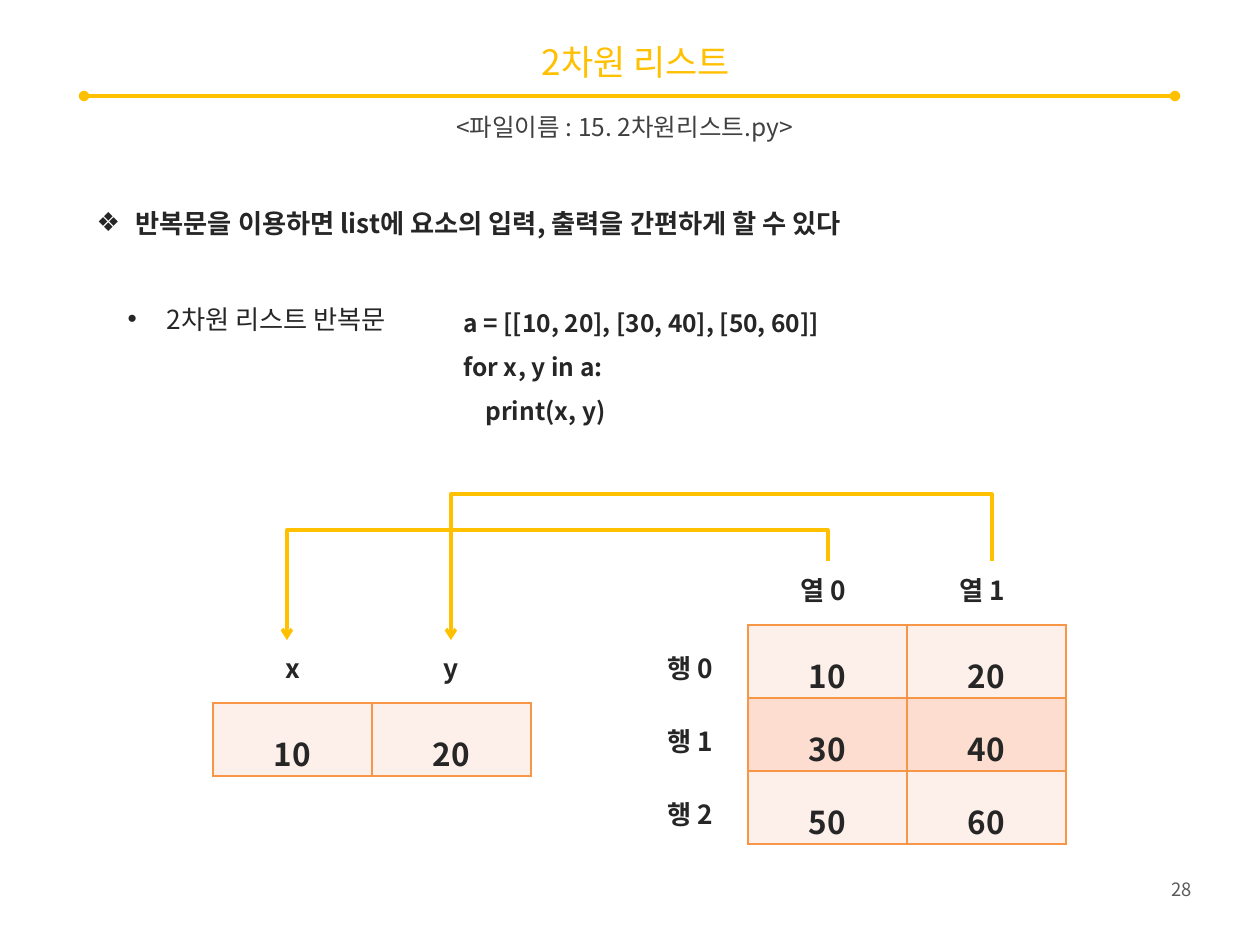
from dataclasses import dataclass

import lxml.etree
import pptx
import pptx.dml.color
import pptx.enum.shapes
import pptx.enum.text
import pptx.oxml.ns
import pptx.util

PIXELS_PER_INCH = 126
ALIGN = pptx.enum.text.PP_ALIGN
ANCHOR = pptx.enum.text.MSO_ANCHOR
CONNECTOR = pptx.enum.shapes.MSO_CONNECTOR


@dataclass(frozen=True)
class Theme:
    font: str = "Noto Sans CJK KR"
    accent: str = "FFC000"
    ink: str = "262626"
    subtitle_ink: str = "404040"
    number_ink: str = "595959"
    border: str = "F79646"
    light_row: str = "FDEFE9"
    dark_row: str = "FCDDCF"
    title_size: float = 20
    subtitle_size: float = 14
    text_size: float = 15
    code_size: float = 14
    cell_size: float = 18
    number_size: float = 10.5
    line_width: float = 2
    border_width: float = 1


THEME = Theme()


def px(length):
    return pptx.util.Emu(round(length * 914400 / PIXELS_PER_INCH))


def color(value):
    return pptx.dml.color.RGBColor.from_string(value)


def add_element(parent, tag, **attributes):
    return lxml.etree.SubElement(parent, pptx.oxml.ns.qn(tag), **attributes)


def format_text(text_frame, size, ink=THEME.ink, bold=False, align=ALIGN.LEFT, spacing=1.0):
    for paragraph in text_frame.paragraphs:
        paragraph.alignment = align
        paragraph.line_spacing = spacing
        paragraph.space_before = pptx.util.Pt(0)
        for run in paragraph.runs:
            run.font.name = THEME.font
            run.font.size = pptx.util.Pt(size)
            run.font.bold = bold
            run.font.color.rgb = color(ink)
            add_element(run.font._element, "a:ea", typeface=THEME.font)


def place(shape, box):
    shape.left, shape.top, shape.width, shape.height = map(px, box)


def add_text(slide, box, text, size, wrap=True, **style):
    shape = slide.shapes.add_textbox(*map(px, box))
    shape.text_frame.word_wrap = wrap
    shape.text_frame.text = text
    format_text(shape.text_frame, size, **style)
    return shape


def style_line(connector, head="none", tail="none"):
    connector.line.color.rgb = color(THEME.accent)
    connector.line.width = pptx.util.Pt(THEME.line_width)
    line = connector.line._get_or_add_ln()
    add_element(line, "a:headEnd", type=head)
    add_element(line, "a:tailEnd", type=tail)
    add_element(connector._element.spPr, "a:effectLst")


def add_header(slide, box, title, subtitle):
    left, top, width, height = box
    # Title
    place(slide.shapes.title, (left + 21, top, width - 19, 48))
    frame = slide.shapes.title.text_frame
    frame.text = title
    frame.auto_size = pptx.enum.text.MSO_AUTO_SIZE.NONE
    frame.vertical_anchor = ANCHOR.MIDDLE
    format_text(frame, THEME.title_size, THEME.accent, align=ALIGN.CENTER)
    # Rule with round ends
    rule_y = px(top + 58)
    rule = slide.shapes.add_connector(
        CONNECTOR.STRAIGHT, px(left), rule_y, px(left + width + 10), rule_y)
    style_line(rule, "oval", "oval")
    # File name
    add_text(slide, (left, top + 68, width, height - 68), subtitle,
             THEME.subtitle_size, ink=THEME.subtitle_ink, align=ALIGN.CENTER)


def add_bullet(placeholder, box, text, mark, bold=False):
    place(placeholder, box)
    frame = placeholder.text_frame
    frame.text = text
    frame.auto_size = pptx.enum.text.MSO_AUTO_SIZE.NONE
    properties = frame.paragraphs[0]._p.get_or_add_pPr()
    properties.set("marL", str(px(39)))
    properties.set("indent", str(-px(39)))
    add_element(properties, "a:buChar", char=mark)
    format_text(frame, THEME.text_size, bold=bold, spacing=1.5)


def add_code(slide, box, lines):
    shape = add_text(slide, box, "\n".join(lines), THEME.code_size, bold=True, spacing=1.5)
    # The last line is the loop body
    body = shape.text_frame.paragraphs[-1]._p.get_or_add_pPr()
    body.set("marL", str(px(22)))
    body.set("indent", "0")


def add_label(slide, left, top, text, align=ALIGN.LEFT):
    add_text(slide, (left, top, 79, 58), text, THEME.text_size,
             wrap=False, bold=True, align=align, spacing=1.5)


def style_cell(cell, value, fill):
    cell.text_frame.text = str(value)
    cell.vertical_anchor = ANCHOR.MIDDLE
    cell.margin_top, cell.margin_bottom = px(4), px(0)
    format_text(cell.text_frame, THEME.cell_size, bold=True, align=ALIGN.CENTER, spacing=1.5)
    properties = cell._tc.get_or_add_tcPr()
    for side in ("a:lnL", "a:lnR", "a:lnT", "a:lnB"):
        border = add_element(properties, side, w=str(pptx.util.Pt(THEME.border_width)))
        add_element(add_element(border, "a:solidFill"), "a:srgbClr", val=THEME.border)
    cell.fill.solid()
    cell.fill.fore_color.rgb = color(fill)


def add_grid(slide, box, values):
    frame = slide.shapes.add_table(len(values), len(values[0]), *map(px, box))
    table = frame.table
    table.first_row = table.horz_banding = False
    for row, row_values in enumerate(values):
        fill = THEME.dark_row if row % 2 else THEME.light_row
        for column, value in enumerate(row_values):
            style_cell(table.cell(row, column), value, fill)


def add_elbow_arrow(slide, start, end, rise):
    """Goes up from start by rise, across, then down to end."""
    span, drop = start[0] - end[0], end[1] - start[1]
    center_x, center_y = (start[0] + end[0]) / 2, (start[1] + end[1]) / 2
    # The frame lies on its side and is turned by 270 degrees
    arrow = slide.shapes.add_connector(
        CONNECTOR.ELBOW,
        px(center_x + drop / 2), px(center_y + span / 2),
        px(center_x - drop / 2), px(center_y - span / 2))
    properties = arrow._element.spPr
    properties.find(pptx.oxml.ns.qn("a:xfrm")).set("rot", str(270 * 60000))
    adjustments = properties.find(pptx.oxml.ns.qn("a:prstGeom")).get_or_add_avLst()
    add_element(adjustments, "a:gd", name="adj1", fmla=f"val {round(-100000 * rise / drop)}")
    style_line(arrow, tail="arrow")


def add_unpacking_diagram(slide, box):
    left, top, width, height = box
    cell_width, cell_height = 159, 73
    values = [[10, 20], [30, 40], [50, 60]]
    matrix_left, matrix_top = left + 535, top + 131
    pair_top = top + 209
    # Whole list and the row being read
    add_grid(slide, (matrix_left, matrix_top, 2 * cell_width, 3 * cell_height), values)
    add_grid(slide, (left, pair_top, 2 * cell_width, cell_height), values[:1])
    # Row labels
    for row in range(len(values)):
        add_label(slide, matrix_left - 93, matrix_top + 5 + row * cell_height, f"행 {row}")
    # Column labels, variable names and arrows
    for column, (name, rise) in enumerate((("x", 31), ("y", 67))):
        shift = column * cell_width
        add_label(slide, matrix_left + 40 + shift, matrix_top - 73, f"열 {column}")
        add_label(slide, left + 40 + shift, pair_top - 73, name, ALIGN.CENTER)
        arrow_shift = column * 164
        add_elbow_arrow(slide, (left + 615 + arrow_shift, top + 67),
                        (left + 74 + arrow_shift, top + 146), rise)


def main():
    presentation = pptx.Presentation()
    presentation.slide_width, presentation.slide_height = px(1260), px(945)
    slide = presentation.slides.add_slide(presentation.slide_layouts[3])
    add_header(slide, (84, 38, 1081, 111), "2차원 리스트", "<파일이름 : 15. 2차원리스트.py>")
    # Bullets
    add_bullet(slide.placeholders[1], (84, 185, 1081, 60),
               "반복문을 이용하면 list에 요소의 입력, 출력을 간편하게 할 수 있다", "❖", bold=True)
    add_bullet(slide.placeholders[2], (115, 281, 374, 55), "2차원 리스트 반복문", "•")
    add_code(slide, (451, 287, 407, 146),
             ["a = [[10, 20], [30, 40], [50, 60]]", "for x, y in a:", "print(x, y)"])
    add_unpacking_diagram(slide, (213, 494, 853, 350))
    # Page number
    add_text(slide, (1130, 872, 74, 37), "28", THEME.number_size,
             wrap=False, ink=THEME.number_ink, align=ALIGN.RIGHT)
    presentation.save("out.pptx")


if __name__ == "__main__":
    main()
